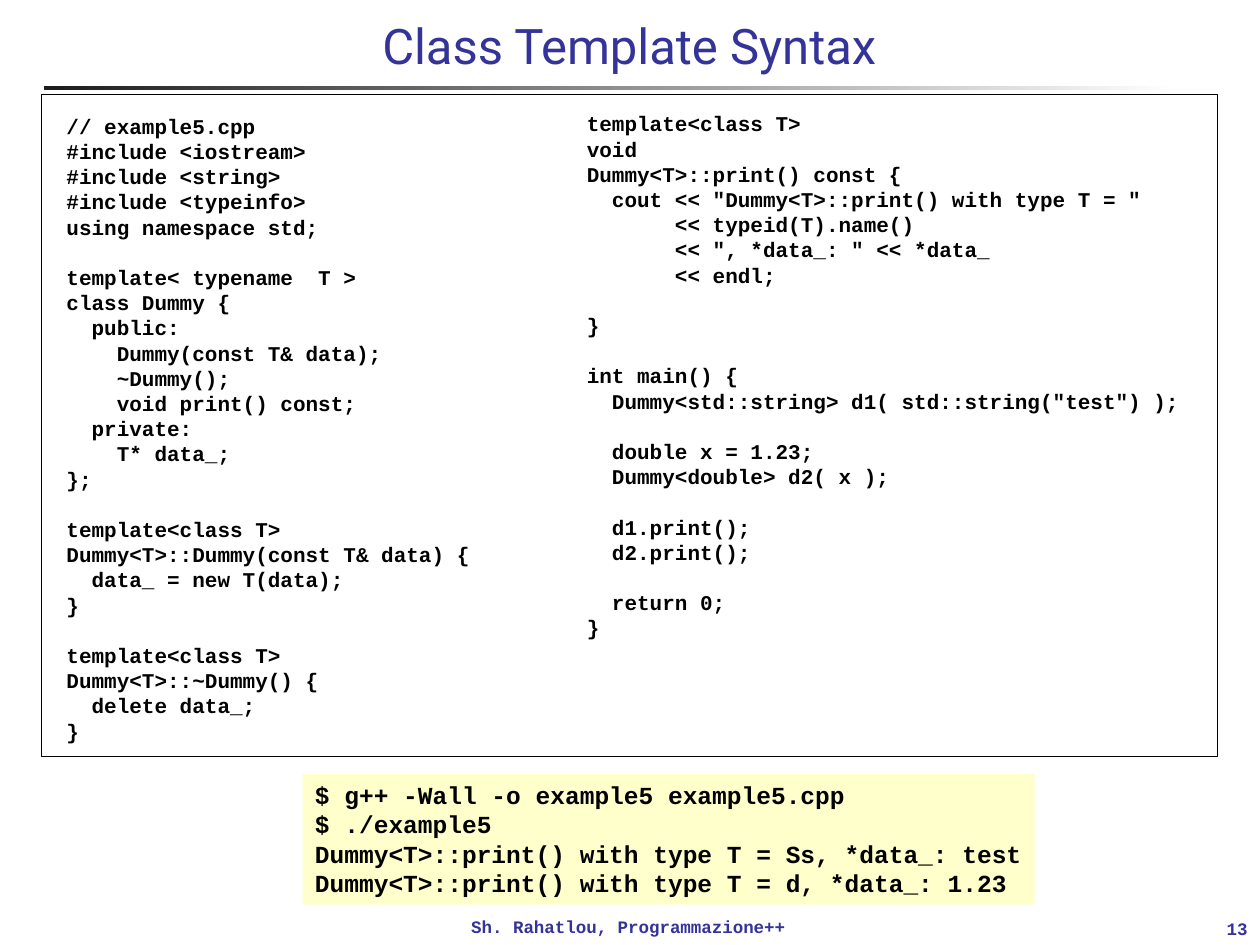
from pptx import Presentation
from pptx.dml.color import RGBColor
from pptx.enum.shapes import MSO_SHAPE
from pptx.enum.text import MSO_ANCHOR, PP_ALIGN
from pptx.util import Cm, Pt

BLACK = RGBColor(0x00, 0x00, 0x00)
CHARCOAL = RGBColor(0x1C, 0x1C, 0x1C)
WHITE = RGBColor(0xFF, 0xFF, 0xFF)
NAVY = RGBColor(0x33, 0x33, 0x99)
CREAM = RGBColor(0xFF, 0xFF, 0xCC)

CODE_FONT = "Courier New"
TITLE_FONT = "Roboto"
LINE_RATIO = 1.2  # line height of code, relative to its font size

CLASS_CODE = """\
// example5.cpp
#include <iostream>
#include <string>
#include <typeinfo>
using namespace std;

template< typename  T >
class Dummy {
  public:
    Dummy(const T& data);
    ~Dummy();
    void print() const;
  private:
    T* data_;
};

template<class T>
Dummy<T>::Dummy(const T& data) {
  data_ = new T(data);
}

template<class T>
Dummy<T>::~Dummy() {
  delete data_;
}"""

MAIN_CODE = """\
template<class T>
void
Dummy<T>::print() const {
  cout << "Dummy<T>::print() with type T = "
       << typeid(T).name()
       << ", *data_: " << *data_
       << endl;

}

int main() {
  Dummy<std::string> d1( std::string("test") );

  double x = 1.23;
  Dummy<double> d2( x );

  d1.print();
  d2.print();

  return 0;
}"""

TERMINAL = """\
$ g++ -Wall -o example5 example5.cpp
$ ./example5
Dummy<T>::print() with type T = Ss, *data_: test
Dummy<T>::print() with type T = d, *data_: 1.23"""


def style_font(para, name, size, color, bold):
    for span in para.runs:
        font = span.font
        font.name, font.size, font.bold = name, Pt(size), bold
        font.color.rgb = color


def add_rectangle(slide, left, top, width, height):
    """Add a rectangle with no fill, line or shadow."""
    box = slide.shapes.add_shape(MSO_SHAPE.RECTANGLE, Cm(left), Cm(top), Cm(width), Cm(height))
    box.shadow.inherit = False
    box.fill.background()
    box.line.fill.background()
    return box


def add_label(slide, left, top, width, height, text, *, font=CODE_FONT, size=10,
              bold=True, align=PP_ALIGN.LEFT, anchor=MSO_ANCHOR.TOP, wrap=True):
    """Add one line of navy text."""
    box = slide.shapes.add_textbox(Cm(left), Cm(top), Cm(width), Cm(height))
    frame = box.text_frame
    frame.text = text
    frame.word_wrap = wrap
    frame.vertical_anchor = anchor
    para = frame.paragraphs[0]
    para.alignment = align
    style_font(para, font, size, NAVY, bold)


def write_code(box, code, size, wrap=False):
    """Write one paragraph per line; a blank line becomes space before the next."""
    frame = box.text_frame
    frame.word_wrap = wrap
    frame.vertical_anchor = MSO_ANCHOR.TOP
    line_height = Pt(size * LINE_RATIO)
    for block_index, block in enumerate(code.split("\n\n")):
        for line_index, line in enumerate(block.split("\n")):
            first = block_index == 0 and line_index == 0
            para = frame.paragraphs[0] if first else frame.add_paragraph()
            para.text = line
            para.alignment = PP_ALIGN.LEFT
            para.line_spacing = line_height
            if block_index and line_index == 0:
                para.space_before = line_height
            style_font(para, CODE_FONT, size, BLACK, True)


def add_listing(slide, left, top, width, height, code, wrap=False):
    box = slide.shapes.add_textbox(Cm(left), Cm(top), Cm(width), Cm(height))
    write_code(box, code, 12, wrap)


def add_gradient_rule(slide):
    rule = add_rectangle(slide, 0.89, 1.73, 22.86, 0.08)
    rule.fill.gradient()
    rule.fill.gradient_angle = 0
    for stop, color in zip(rule.fill.gradient_stops, (CHARCOAL, WHITE)):
        stop.color.rgb = color


def main():
    deck = Presentation()
    deck.slide_width, deck.slide_height = Cm(25.4), Cm(19.05)
    slide = deck.slides.add_slide(deck.slide_layouts[6])

    # Rule, footer and title
    add_gradient_rule(slide)
    add_label(slide, 9.25, 18.34, 6.83, 0.69, "Sh. Rahatlou, Programmazione++", wrap=False)
    add_label(slide, 1.47, 0.05, 22.43, 1.7, "Class Template Syntax", font=TITLE_FONT,
              size=28, bold=False, align=PP_ALIGN.CENTER, anchor=MSO_ANCHOR.MIDDLE)

    # Source code in two columns, with a frame around them
    add_listing(slide, 1.09, 2.16, 8.64, 13.46, CLASS_CODE)
    add_listing(slide, 11.58, 2.11, 12.7, 10.92, MAIN_CODE, wrap=True)
    frame = add_rectangle(slide, 0.84, 1.91, 23.7, 13.34)
    frame.line.color.rgb = BLACK
    frame.line.width = Pt(0.75)

    # Terminal session
    terminal = add_rectangle(slide, 6.1, 15.6, 14.76, 2.64)
    terminal.fill.solid()
    terminal.fill.fore_color.rgb = CREAM
    write_code(terminal, TERMINAL, 14)

    # Page number
    add_label(slide, 22.66, 18.42, 2.74, 0.63, "13",
              align=PP_ALIGN.RIGHT, anchor=MSO_ANCHOR.BOTTOM)

    deck.save("out.pptx")


if __name__ == "__main__":
    main()
